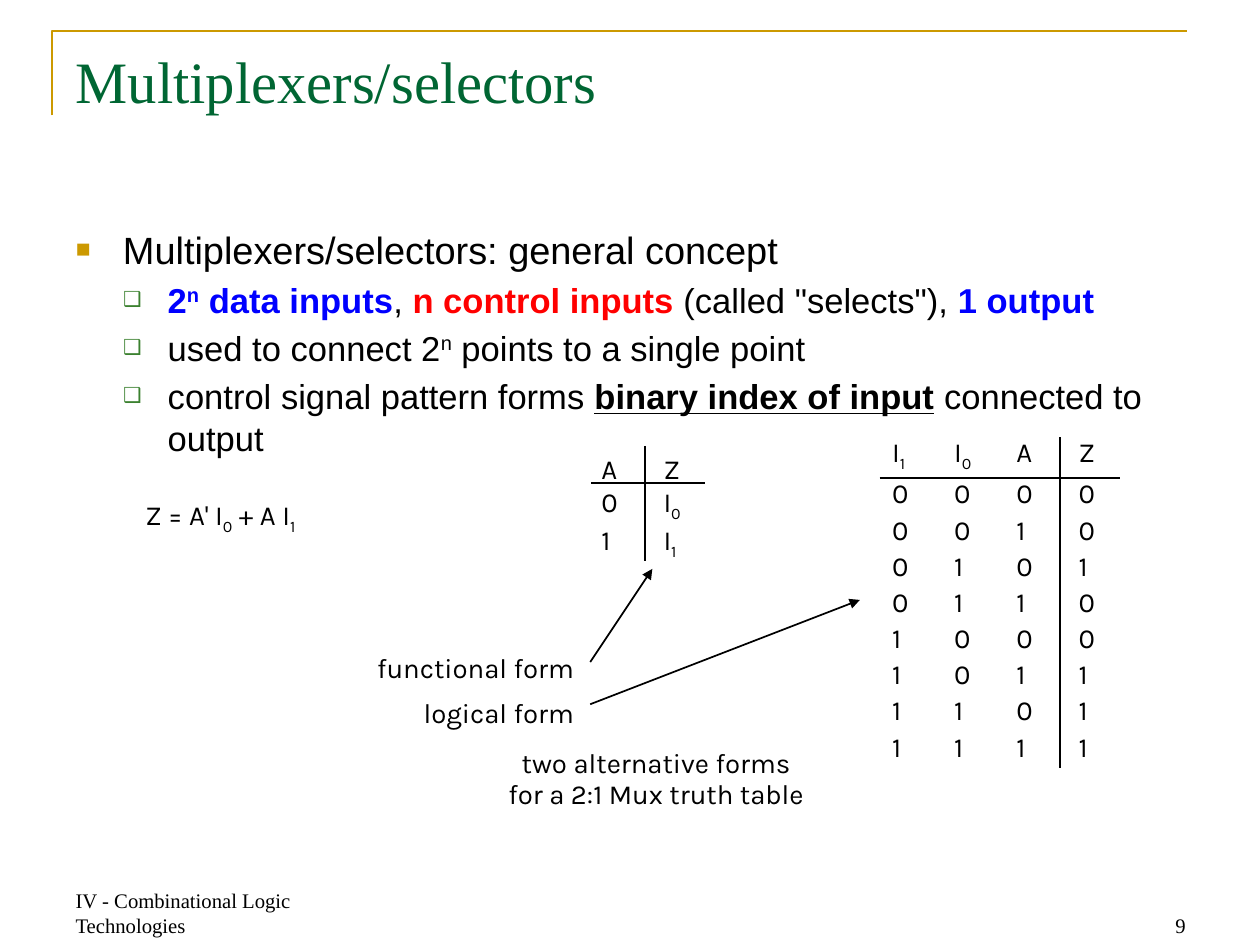
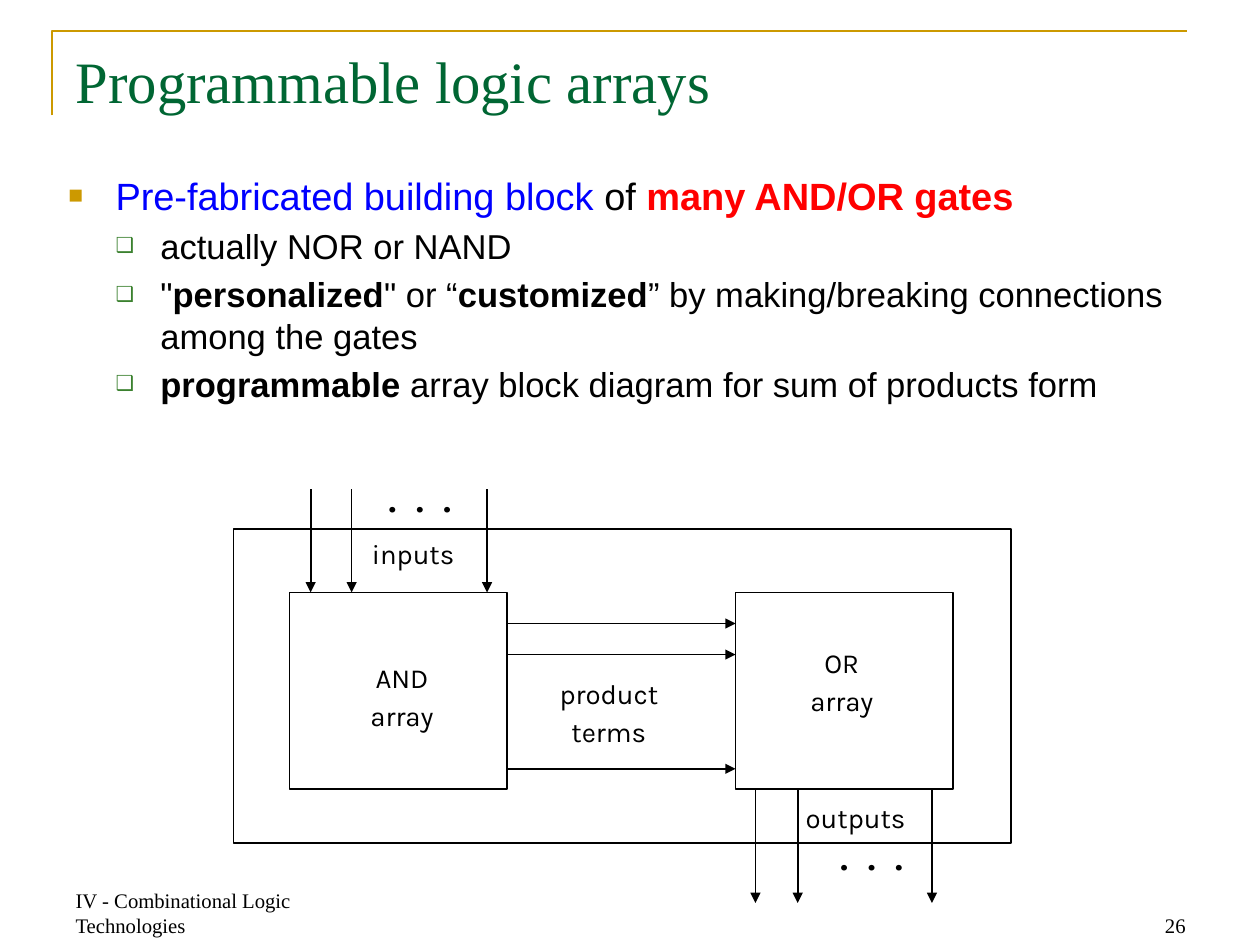
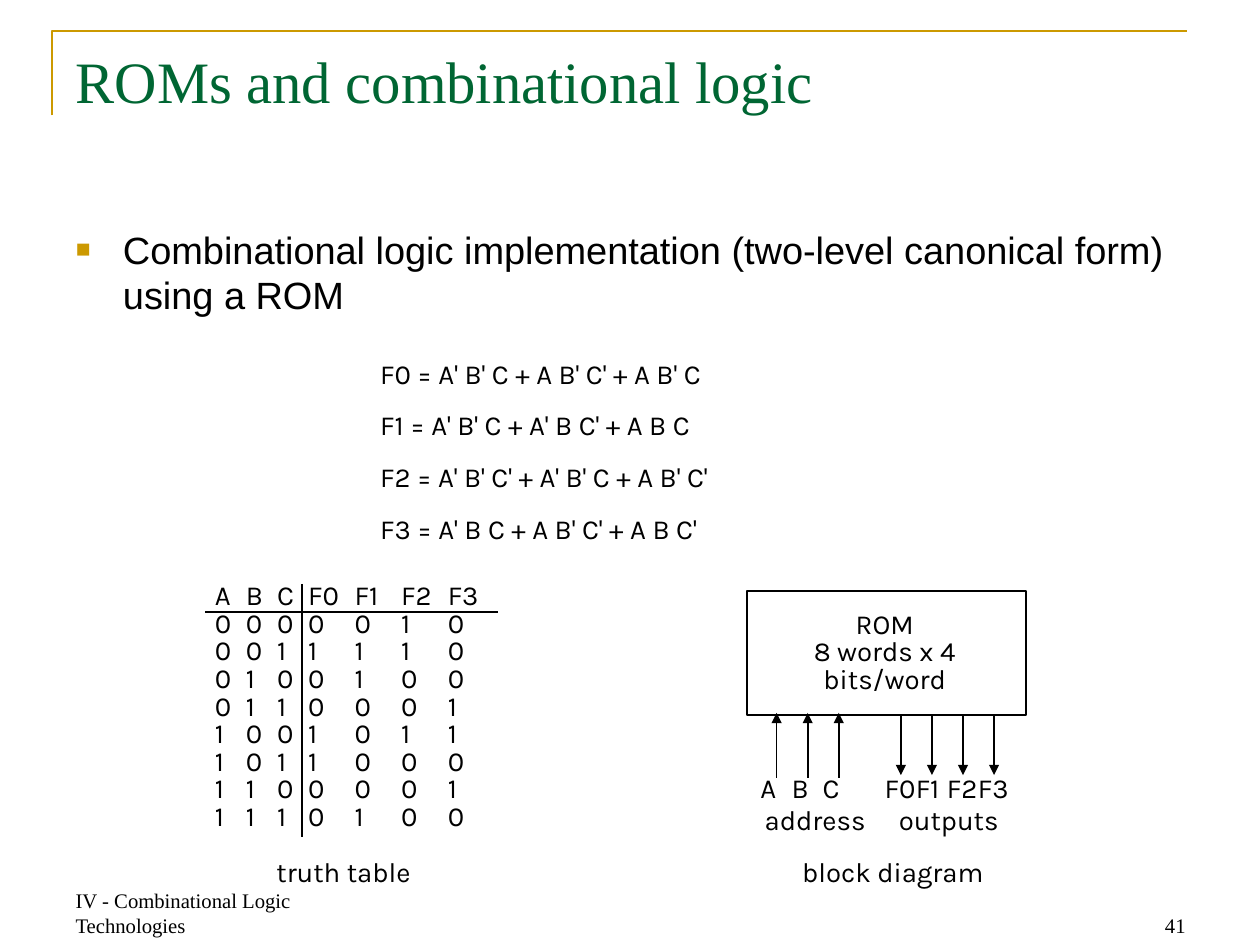
from lxml.etree import SubElement
from pptx import Presentation
from pptx.dml.color import RGBColor
from pptx.enum.shapes import MSO_CONNECTOR, MSO_SHAPE
from pptx.enum.text import MSO_ANCHOR, MSO_AUTO_SIZE, PP_ALIGN
from pptx.oxml.ns import qn
from pptx.util import Inches, Pt

BLACK = RGBColor(0x00, 0x00, 0x00)
GOLD = RGBColor(0xCC, 0x99, 0x00)
PINE = RGBColor(0x00, 0x66, 0x33)
LEAF = RGBColor(0x3B, 0x81, 0x2F)
BLUE = RGBColor(0x00, 0x00, 0xFF)
RED = RGBColor(0xFF, 0x00, 0x00)

SERIF, SANS, HAND = "Times New Roman", "Arial", "Karla"
FOOTER = "IV - Combinational Logic Technologies"
TITLE_AT = (0.51, 0.31, 9.12, 1.26)
BODY_AT = (0.51, 1.77, 9.12, 5.02)
PAD = (0.02, 0.03)
LEFT, MID, RIGHT = PP_ALIGN.LEFT, PP_ALIGN.CENTER, PP_ALIGN.RIGHT

# Per list level: sign, its colour and percent, left edge, hang, text size
LEVELS = (
    ("■", GOLD, 65, 0.38, 0.38, 22),
    ("❑", LEAF, 60, 0.74, 0.36, 20),
)
SHIFT = {"^": "30000", "_": "-25000"}


def place(shape, at):
    shape.left, shape.top, shape.width, shape.height = map(Inches, at)


def style(para, size, name=HAND, color=BLACK, align=LEFT):
    para.alignment = align
    font = para.font
    font.size, font.name = Pt(size), name
    font.color.rgb = color


def write(para, parts):
    """Add parts: plain text, or (text, marks, colour); marks are b, u, ^ and _."""
    for part in [parts] if isinstance(parts, str) else parts:
        text, marks, color = (part, "", None) if isinstance(part, str) else part
        for i, line in enumerate(text.split("\n")):
            if i:
                para.add_line_break()
            run = para.add_run()
            run.text = line
            if "b" in marks:
                run.font.bold = True
            if "u" in marks:
                run.font.underline = True
            if color is not None:
                run.font.color.rgb = color
            for mark in SHIFT.keys() & set(marks):
                run._r.get_or_add_rPr().set("baseline", SHIFT[mark])


def add_bullet(para, level):
    sign, color, percent, edge, hang, _ = LEVELS[level]
    props = para._p.get_or_add_pPr()
    props.set("marL", str(Inches(edge)))
    props.set("indent", str(-Inches(hang)))
    tint = SubElement(props, qn("a:buClr"))
    SubElement(tint, qn("a:srgbClr"), val=str(color))
    SubElement(props, qn("a:buSzPct"), val=str(percent * 1000))
    SubElement(props, qn("a:buChar"), char=sign)


def add_tabs(para, stops):
    tabs = SubElement(para._p.get_or_add_pPr(), qn("a:tabLst"))
    for stop in stops:
        SubElement(tabs, qn("a:tab"), pos=str(Inches(stop)), algn="l")


def each_para(frame, items):
    """Yield a paragraph with each item, using the empty first one."""
    for i, item in enumerate(items):
        yield frame.add_paragraph() if i else frame.paragraphs[0], item


def label(slide, at, paras, lead, align=MID, stops=()):
    """Unwrapped text with an exact line pitch in points."""
    box = slide.shapes.add_textbox(*map(Inches, at))
    frame = box.text_frame
    frame.word_wrap = False
    frame.margin_left = frame.margin_right = Inches(PAD[0])
    frame.margin_top = frame.margin_bottom = Inches(PAD[1])
    for para, parts in each_para(frame, paras):
        if stops:
            add_tabs(para, stops)
        style(para, 16, align=align)
        para.line_spacing = Pt(lead)
        write(para, parts)
    return box


def dots(slide, at):
    box = label(slide, at, ["• • •"], 21)
    for run in box.text_frame.paragraphs[0].runs:
        run._r.get_or_add_rPr().set("spc", "385")


def line(slide, start, end, arrow=False):
    ends = map(Inches, (*start, *end))
    link = slide.shapes.add_connector(MSO_CONNECTOR.STRAIGHT, *ends)
    link.line.color.rgb = BLACK
    link.line.width = Pt(1)
    props = link.element.spPr
    if arrow:
        SubElement(props.find(qn("a:ln")), qn("a:tailEnd"), type="triangle")
    SubElement(props, qn("a:effectLst"))


def arrows_down(slide, xs, top, end):
    for x in xs:
        line(slide, (x, top), (x, end), arrow=True)


def block(slide, *at):
    box = slide.shapes.add_shape(MSO_SHAPE.RECTANGLE, *map(Inches, at))
    box.shadow.inherit = False
    box.fill.background()
    box.line.color.rgb = BLACK
    box.line.width = Pt(1)


def grid(slide, left, top, widths, head, pitch, rows, lead=None):
    """Truth table; head and pitch are the row heights in points."""
    heights = [Pt(head)] + [Pt(pitch)] * (len(rows) - 1)
    table = slide.shapes.add_table(
        len(rows), len(widths), Inches(left), Inches(top),
        Inches(sum(widths)), sum(heights)).table
    table.first_row = table.horz_banding = False
    for col, width in zip(table.columns, widths):
        col.width = Inches(width)
    for r, row in enumerate(rows):
        table.rows[r].height = heights[r]
        for c, parts in enumerate(row):
            cell = table.cell(r, c)
            cell.fill.background()
            cell.margin_left = Inches(PAD[0])
            cell.margin_right = cell.margin_top = cell.margin_bottom = 0
            para = cell.text_frame.paragraphs[0]
            style(para, 16)
            if lead:
                para.line_spacing = Pt(lead)
            write(para, parts)


def set_layout(deck):
    layout = deck.slide_layouts[1]
    place(layout.placeholders[0], TITLE_AT)
    place(layout.placeholders[1], BODY_AT)
    return layout


def add_corner(slide, layout):
    """Draw the gold corner and move it to the layout all slides share."""
    pen = slide.shapes.build_freeform(Inches(0.42), Inches(0.93))
    turns = ((0.42, 0.25), (9.55, 0.25))
    pen.add_line_segments([(Inches(x), Inches(y)) for x, y in turns], close=False)
    corner = pen.convert_to_shape()
    corner.shadow.inherit = False
    corner.fill.background()
    corner.line.color.rgb = GOLD
    corner.line.width = Pt(1.5)
    layout.shapes.element.append(corner.element)


def foot(slide, left, text, align):
    box = slide.shapes.add_textbox(*map(Inches, (left, 7.09, 2.37, 0.51)))
    frame = box.text_frame
    frame.word_wrap = True
    frame.vertical_anchor = MSO_ANCHOR.BOTTOM
    style(frame.paragraphs[0], 12, SERIF, align=align)
    write(frame.paragraphs[0], text)


def new_slide(deck, layout, title, number, points):
    """Add a slide with title, footer and a list of (level, parts)."""
    slide = deck.slides.add_slide(layout)
    head, body = slide.shapes.title, slide.placeholders[1]
    for holder in (head, body):
        holder.text_frame.auto_size = MSO_AUTO_SIZE.NONE
        holder.text_frame.vertical_anchor = MSO_ANCHOR.TOP
    para = head.text_frame.paragraphs[0]
    style(para, 34, SERIF, PINE)
    write(para, title)
    for i, (para, (level, parts)) in enumerate(each_para(body.text_frame, points)):
        size = LEVELS[level][-1]
        para.level = level
        add_bullet(para, level)
        style(para, size, SANS)
        para.space_before = Pt(size * 0.2 if i else 0)
        write(para, parts)
    foot(slide, 0.51, FOOTER, LEFT)
    foot(slide, 7.27, number, RIGHT)
    return slide


def sub(letter, digit):
    return [letter, (digit, "_", None)]


def mux_slide(deck, layout):
    slide = new_slide(deck, layout, "Multiplexers/selectors", "9", [
        (0, "Multiplexers/selectors: general concept"),
        (1, [("2", "b", BLUE), ("n", "b^", BLUE), (" data inputs", "b", BLUE),
             ", ", ("n control inputs ", "b", RED), "(called \"selects\"), ",
             ("1 output", "b", BLUE)]),
        (1, ["used to connect 2", ("n", "^", None), " points to a single point"]),
        (1, ["control signal pattern forms ",
             ("binary index of input", "bu", None), " connected to output"]),
    ])
    label(slide, (1.15, 3.99, 1.97, 0.46),
          [sub("Z = A' I", "0") + sub(" + A I", "1")], 21, LEFT)
    label(slide, (2.58, 5.12, 2.06, 0.86),
          ["functional form", "logical form"], 26, RIGHT)
    label(slide, (3.67, 5.99, 3.22, 0.67),
          ["two alternative forms", "for a 2:1 Mux truth table"], 18)
    line(slide, (4.75, 5.33), (5.25, 4.58), arrow=True)
    line(slide, (4.75, 5.67), (6.92, 4.83), arrow=True)

    grid(slide, 4.82, 3.66, [0.5] * 2, 19, 21,
         ["AZ", ["0", sub("I", "0")], ["1", sub("I", "1")]])
    line(slide, (5.19, 3.59), (5.19, 4.52))
    line(slide, (4.76, 3.89), (5.67, 3.89))

    grid(slide, 7.16, 3.52, [0.5] * 4, 24, 21,
         [[sub("I", "1"), sub("I", "0"), "A", "Z"],
          "0000", "0010", "0101", "0110", "1000", "1011", "1101", "1111"])
    line(slide, (8.53, 3.52), (8.53, 6.18))
    line(slide, (7.08, 3.85), (9.01, 3.85))
    return slide


def array_slide(deck, layout):
    slide = new_slide(deck, layout, "Programmable logic arrays", "26", [
        (0, [("Pre-fabricated building block ", "", BLUE), "of ",
             ("many AND/OR gates", "b", RED)]),
        (1, "actually NOR or NAND"),
        (1, ["\"", ("personalized", "b", None), "\" or “",
             ("customized", "b", None),
             "” by making/breaking connections among the gates"]),
        (1, [("programmable", "b", None),
             " array block diagram for sum of products form"]),
    ])
    place(slide.placeholders[1], (0.45, 1.34, 9.12, 5.02))
    block(slide, 1.88, 4.26, 6.26, 2.53)
    for left in (2.33, 5.92):
        block(slide, left, 4.77, 1.75, 1.58)
    arrows_down(slide, (2.5, 2.83, 3.92), 3.94, 4.77)
    arrows_down(slide, (6.08, 6.42, 7.5), 6.36, 7.27)
    for y in (5.02, 5.27, 6.19):
        line(slide, (4.08, y), (5.92, y), arrow=True)
    dots(slide, (2.9, 3.89, 0.96, 0.43))
    dots(slide, (6.42, 6.77, 1.19, 0.43))
    for text, at in (
        ("inputs", (2.82, 4.25, 1.01, 0.72)),
        ("AND\narray", (2.64, 5.25, 1.19, 1.03)),
        ("product\nterms", (4.1, 5.38, 1.6, 1.03)),
        ("OR\narray", (5.76, 5.13, 2.03, 1.03)),
        ("outputs", (6.24, 6.38, 1.29, 0.72)),
    ):
        label(slide, at, [text], 22)


def rom_slide(deck, layout):
    slide = new_slide(deck, layout, "ROMs and combinational logic", "41", [
        (0, "Combinational logic implementation (two-level canonical form) "
            "using a ROM"),
    ])
    label(slide, (3.04, 2.69, 4.06, 1.81), [
        "F0 = A' B' C + A B' C' + A B' C",
        "F1 = A' B' C + A' B C' + A B C",
        "F2 = A' B' C' + A' B' C + A B' C'",
        "F3 = A' B C + A B' C' + A B C'",
    ], 30, LEFT)

    names = ["A", "B", "C", "F0", "F1", "F2", "F3"]
    grid(slide, 1.71, 4.68 + PAD[1], [0.25] * 3 + [0.375] * 4, 16, 16,
         [names, "0000010", "0011110", "0100100", "0110001",
          "1001011", "1011000", "1100001", "1110100"], lead=16)
    line(slide, (1.65, 4.93), (4.01, 4.93))
    line(slide, (2.43, 4.7), (2.43, 6.74))
    label(slide, (2, 6.83, 1.53, 0.43), ["truth table"], 21)

    block(slide, 6.01, 4.76, 2.25, 1)
    label(slide, (6.1, 4.9, 2.04, 0.58), ["ROM\n8 words x 4 bits/word"], 16)
    for x in (6.25, 6.5, 6.75):
        line(slide, (x, 6.26), (x, 5.74), arrow=True)
    arrows_down(slide, (7.25, 7.5, 7.75, 8), 5.76, 6.24)
    label(slide, (6.1, 6.22, 2.19, 0.36), ["\t".join(names)], 16, LEFT,
          stops=(0.25, 0.5, 1, 1.25, 1.5, 1.75))
    label(slide, (5.97, 6.48, 1.18, 0.36), ["address"], 16)
    label(slide, (7.08, 6.48, 1.11, 0.36), ["outputs"], 16)
    label(slide, (6.22, 6.83, 1.93, 0.43), ["block diagram"], 21)


def main():
    deck = Presentation()
    deck.slide_width, deck.slide_height = Inches(10.14), Inches(7.6)
    layout = set_layout(deck)
    add_corner(mux_slide(deck, layout), layout)
    array_slide(deck, layout)
    rom_slide(deck, layout)
    deck.save("out.pptx")


if __name__ == "__main__":
    main()
